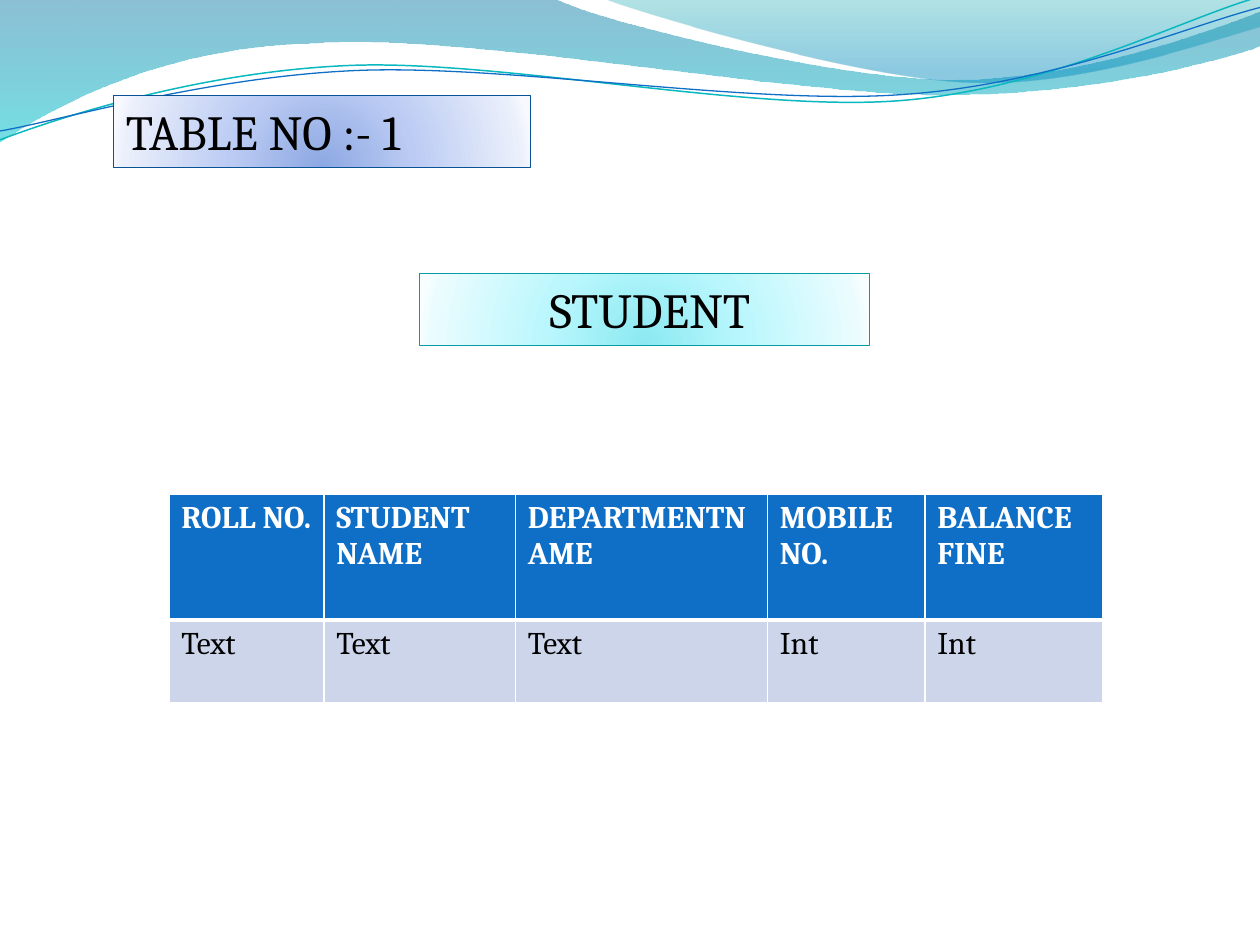
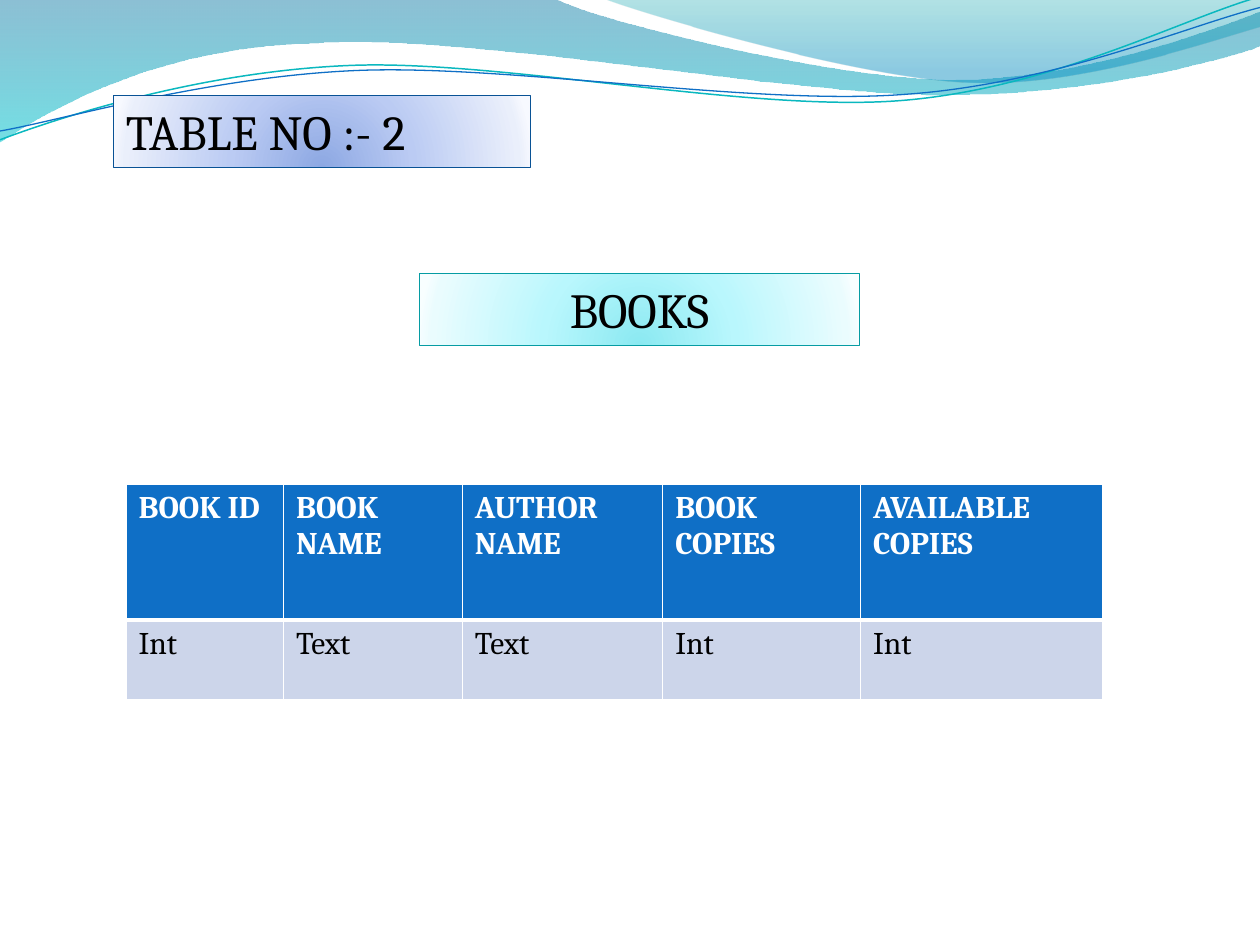
import dataclasses
import math

import lxml.etree
import pptx
import pptx.dml.color
import pptx.enum.shapes
import pptx.enum.text
import pptx.oxml
import pptx.oxml.ns
import pptx.util

Inches = pptx.util.Inches
qn = pptx.oxml.ns.qn


@dataclasses.dataclass(frozen=True)
class Theme:
    font: str = "Cambria"
    title_size: int = 28
    cell_size: int = 18
    ink: str = "000000"
    white: str = "FFFFFF"
    header_fill: str = "0F6FC6"
    body_fill: str = "CCD5EA"
    # Gradient stops are (position %, colour, opacity %).
    band_stops: tuple = ((0, "0074A1", 45), (100, "00C6CF", 55))
    crest_stops: tuple = ((0, "00A1A9", 30), (80, "008BBF", 45))
    teal_line: tuple = ("0AB8BF", 0.85)
    blue_line: tuple = ("0F6FC6", 0.75)


@dataclasses.dataclass(frozen=True)
class LabelStyle:
    stops: tuple
    line: str


@dataclasses.dataclass(frozen=True)
class Box:
    left: float
    top: float
    width: float
    height: float


THEME = Theme()
NUMBER_STYLE = LabelStyle(
    ((0, "8DA8E3", 100), (43, "BBCBF3", 100), (93, "EAEFFB", 100), (100, "F7F9FF", 100)),
    "095295")
NAME_STYLE = LabelStyle(
    ((0, "8BE9F1", 100), (43, "B9F7FD", 100), (93, "EAFCFE", 100), (100, "F8FEFF", 100)),
    "069CA3")

DOWNWARD = '<a:lin ang="5400000" scaled="0"/>'
GLOW_FROM_BELOW = ('<a:path path="circle"><a:fillToRect l="50000" t="130000" '
                   'r="50000" b="-30000"/></a:path>')
STRAND_TILT = -2.7

# Each outline is a start point and its segments: one point for a line, three for a curve.
BAND = ((0, 0), [
    [(4.4, -0.01)],
    [(4.76, 0.17), (6.64, 0.63), (7.58, 0.63)],
    [(8.53, 0.63), (9.58, 0.26), (10, 0.09)],
    [(10.01, 0.36)],
    [(9.83, 0.44), (8.7, 0.76), (7.46, 0.75)],
    [(6.22, 0.75), (3.82, 0.28), (2.57, 0.34)],
    [(1.29, 0.36), (0.46, 0.83), (-0.01, 1.13)],
    [(0, 0)]])
CREST = ((4.79, -0.01), [
    [(5.09, 0.11), (6.82, 0.62), (7.69, 0.65)],
    [(8.56, 0.69), (9.61, 0.32), (10, 0.21)],
    [(10, 0)],
    [(4.79, -0.01)]])
TEAL_STRAND = ((0, 1.11), [
    [(0.48, 0.93), (1.58, 0.57), (2.77, 0.52)],
    [(3.95, 0.47), (5.93, 0.89), (7.13, 0.8)],
    [(8.33, 0.71), (9.38, 0.15), (9.98, -0.02)]])
BLUE_STRAND = ((0, 1.04), [
    [(0.47, 0.96), (1.64, 0.61), (2.83, 0.56)],
    [(4.03, 0.51), (5.97, 0.84), (7.17, 0.75)],
    [(8.36, 0.67), (9.41, 0.21), (10, 0.06)]])


def rgb(colour):
    return pptx.dml.color.RGBColor.from_string(colour)


def parse_drawing(xml):
    """Parse one DrawingML element written with the a: prefix."""
    head, mark, tail = xml.partition(">")
    return pptx.oxml.parse_xml(f"{head} {pptx.oxml.ns.nsdecls('a')}{mark}{tail}")


def colour_xml(colour, opacity=100):
    return f'<a:srgbClr val="{colour}"><a:alpha val="{opacity * 1000}"/></a:srgbClr>'


def fill_gradient(shape, stops, direction):
    shape.fill.background()
    stop_xml = "".join(f'<a:gs pos="{position * 1000}">{colour_xml(colour, opacity)}</a:gs>'
                       for position, colour, opacity in stops)
    gradient = parse_drawing(
        f'<a:gradFill rotWithShape="1"><a:gsLst>{stop_xml}</a:gsLst>{direction}</a:gradFill>')
    properties = shape.element.spPr
    properties.replace(properties.find(qn("a:noFill")), gradient)


def set_line(shape, colour, width):
    shape.line.color.rgb = rgb(colour)
    shape.line.width = pptx.util.Pt(width)


def set_font(paragraph, size, colour, bold=False):
    paragraph.font.name = THEME.font
    paragraph.font.size = pptx.util.Pt(size)
    paragraph.font.color.rgb = rgb(colour)
    paragraph.font.bold = bold


def rotate(point, centre, degrees):
    angle = math.radians(degrees)
    dx, dy = point[0] - centre[0], point[1] - centre[1]
    return (centre[0] + dx * math.cos(angle) - dy * math.sin(angle),
            centre[1] + dx * math.sin(angle) + dy * math.cos(angle))


def bend_segments(shape, segments):
    """Turn each run of three straight segments into one Bezier curve."""
    lines = iter(list(shape.element.spPr.iter(qn("a:lnTo"))))
    for segment in segments:
        first, *others = [next(lines) for _ in segment]
        if others:
            curve = parse_drawing("<a:cubicBezTo></a:cubicBezTo>")
            first.addprevious(curve)
            for line in (first, *others):
                curve.append(line[0])
                line.getparent().remove(line)


def add_outline(slide, box, outline, closed, tilt=0):
    """Draw an outline as it shows; a tilted one is laid level and then rotated."""
    start, segments = outline
    points = [start, *(point for segment in segments for point in segment)]
    centre = [(min(values) + max(values)) / 2 for values in zip(*points)]
    level = [rotate(point, centre, -tilt) for point in points]
    placed = [(Inches(box.left + x), Inches(box.top + y)) for x, y in level]
    builder = slide.shapes.build_freeform(*placed[0])
    builder.add_line_segments(placed[1:], close=closed)
    shape = builder.convert_to_shape()
    bend_segments(shape, segments)
    if tilt:
        level_centre = [(min(values) + max(values)) / 2 for values in zip(*level)]
        turned_centre = rotate(level_centre, centre, tilt)
        shape.left += Inches(turned_centre[0] - level_centre[0])
        shape.top += Inches(turned_centre[1] - level_centre[1])
        shape.rotation = tilt
    shape.shadow.inherit = False
    return shape


def add_header_waves(slide, box):
    for outline, stops in ((BAND, THEME.band_stops), (CREST, THEME.crest_stops)):
        wave = add_outline(slide, box, outline, closed=True)
        fill_gradient(wave, stops, DOWNWARD)
        wave.line.fill.background()
    for outline, line in ((TEAL_STRAND, THEME.teal_line), (BLUE_STRAND, THEME.blue_line)):
        strand = add_outline(slide, box, outline, closed=False, tilt=STRAND_TILT)
        strand.fill.background()
        set_line(strand, *line)


def add_label(slide, box, text, style, alignment):
    label = slide.shapes.add_shape(
        pptx.enum.shapes.MSO_SHAPE.RECTANGLE,
        Inches(box.left), Inches(box.top), Inches(box.width), Inches(box.height))
    fill_gradient(label, style.stops, GLOW_FROM_BELOW)
    set_line(label, style.line, 0.75)
    label.shadow.inherit = False
    frame = label.text_frame
    frame.word_wrap = True
    frame.auto_size = pptx.enum.text.MSO_AUTO_SIZE.SHAPE_TO_FIT_TEXT
    frame.vertical_anchor = pptx.enum.text.MSO_ANCHOR.TOP
    frame.text = text
    frame.paragraphs[0].alignment = alignment
    set_font(frame.paragraphs[0], THEME.title_size, THEME.ink)


def set_borders(cell, widths):
    """Draw white borders; widths maps L, R, T, B, in that order, to points."""
    properties = cell._tc.get_or_add_tcPr()
    for index, (side, width) in enumerate(widths.items()):
        properties.insert(index, parse_drawing(
            f'<a:ln{side} w="{width * 12700}"><a:solidFill>{colour_xml(THEME.white)}'
            f'</a:solidFill></a:ln{side}>'))


def add_field_table(slide, box, column_widths, row_heights, fields):
    """Field names on the first row, their data types below."""
    table = slide.shapes.add_table(
        2, len(fields), Inches(box.left), Inches(box.top),
        Inches(box.width), Inches(box.height)).table
    table.horz_banding = False
    for column, width in zip(table.columns, column_widths):
        column.width = Inches(width)
    for row, height in zip(table.rows, row_heights):
        row.height = Inches(height)
    row_styles = (
        (THEME.header_fill, THEME.white, True, {"L": 1, "R": 1, "T": 1, "B": 3}),
        (THEME.body_fill, THEME.ink, False, {"L": 1, "R": 1, "T": 3, "B": 1}))
    for row, texts, (fill, ink, bold, borders) in zip(table.rows, zip(*fields), row_styles):
        for cell, text in zip(row.cells, texts):
            cell.text = text
            cell.fill.solid()
            cell.fill.fore_color.rgb = rgb(fill)
            set_borders(cell, borders)
            for paragraph in cell.text_frame.paragraphs:
                set_font(paragraph, THEME.cell_size, ink, bold)


def add_table_slide(presentation, number, name, name_width, table_origin,
                    column_widths, row_heights, fields):
    slide = presentation.slides.add_slide(presentation.slide_layouts[6])
    align = pptx.enum.text.PP_ALIGN
    add_header_waves(slide, Box(0, 0, 10, 1.13))
    add_label(slide, Box(0.9, 0.76, 3.31, 0.57), f"TABLE NO :- {number}",
              NUMBER_STYLE, align.LEFT)
    table_box = Box(*table_origin, sum(column_widths), sum(row_heights))
    add_field_table(slide, table_box, column_widths, row_heights, fields)
    add_label(slide, Box(3.33, 2.17, name_width, 0.57), name, NAME_STYLE, align.CENTER)


def main():
    presentation = pptx.Presentation()
    presentation.slide_width = Inches(10)
    presentation.slide_height = Inches(7.5)
    add_table_slide(
        presentation, 1, " STUDENT", 3.57, (1.34, 3.92),
        (1.23, 1.52, 2, 1.25, 1.41), (1, 0.66),
        (("ROLL NO.", "Text"), ("STUDENT NAME", "Text"), ("DEPARTMENTNAME", "Text"),
         ("MOBILE NO.", "Int"), ("BALANCE FINE", "Int")))
    add_table_slide(
        presentation, 2, "BOOKS", 3.49, (1, 3.84),
        (1.25, 1.42, 1.59, 1.57, 1.92), (1.08, 0.63),
        (("BOOK ID", "Int"), ("BOOK NAME", "Text"), ("AUTHOR NAME", "Text"),
         ("BOOK\nCOPIES", "Int"), ("AVAILABLE COPIES", "Int")))
    presentation.save("out.pptx")


if __name__ == "__main__":
    main()
